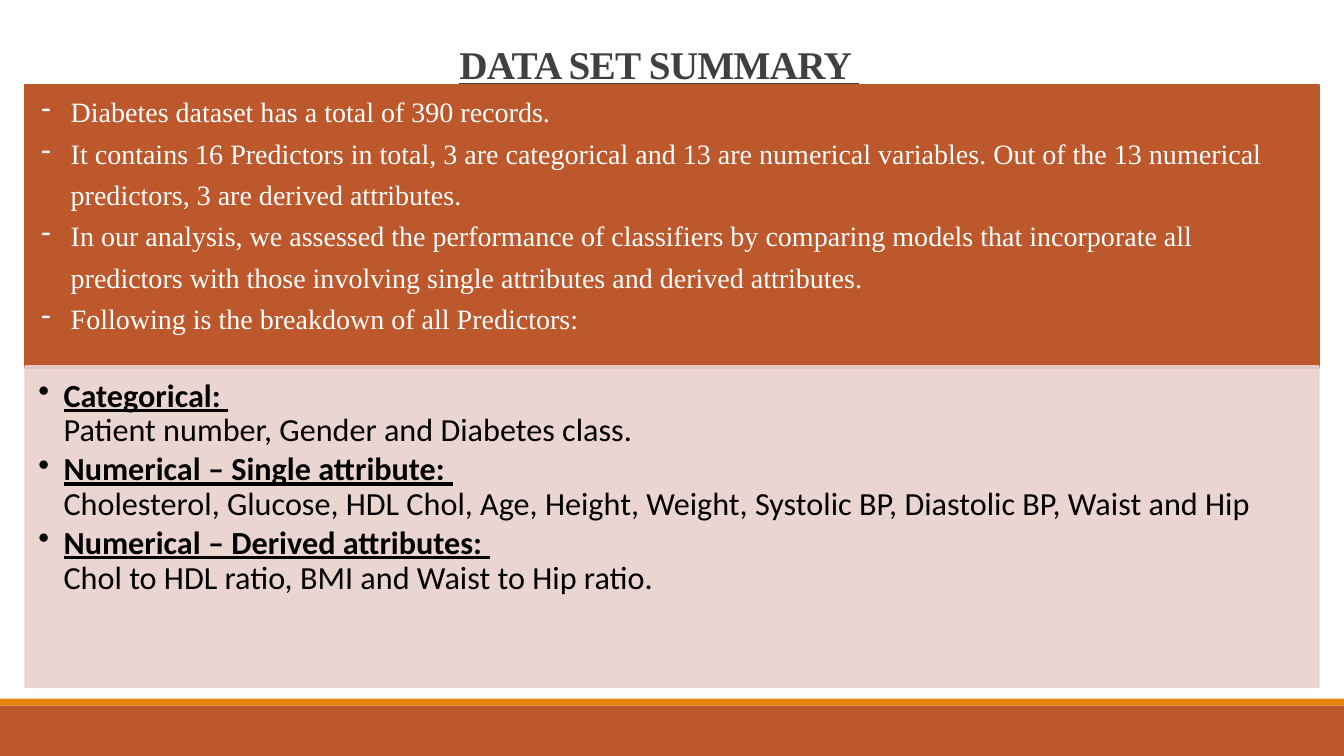
import pptx
import pptx.util
import pptx.dml.color
import pptx.enum.shapes
import pptx.enum.text
import pptx.oxml.ns
from lxml import etree

Pt = pptx.util.Pt

# Content
TITLE = "DATA SET SUMMARY "
# (starts a dashed point, text)
SUMMARY = [
    (True, "Diabetes dataset has a total of 390 records."),
    (True, "It contains 16 Predictors in total, 3 are categorical and 13 are "
           "numerical variables. Out of the 13 numerical"),
    (False, "predictors, 3 are derived attributes."),
    (True, "In our analysis, we assessed the performance of classifiers by "
           "comparing models that incorporate all"),
    (False, "predictors with those involving single attributes and derived attributes."),
    (True, "Following is the breakdown of all Predictors:"),
]
PREDICTORS = [
    ("Categorical: ", "Patient number, Gender and Diabetes class."),
    ("Numerical – Single attribute: ",
     "Cholesterol, Glucose, HDL Chol, Age, Height, Weight, Systolic BP, "
     "Diastolic BP, Waist and Hip"),
    ("Numerical – Derived attributes: ", "Chol to HDL ratio, BMI and Waist to Hip ratio."),
]
COLORS = {"rust": "BD582C", "orange": "E48312", "pink": "E8D1CD",
          "title": "404040", "white": "FFFFFF", "black": "000000"}

# Layout
WIDTH, HEIGHT = 960, 540
FOOTER_HEIGHT, STRIPE_HEIGHT = 36, 5
PANEL_LEFT, PANEL_WIDTH = 18, 924


def color(name):
    return pptx.dml.color.RGBColor.from_string(COLORS[name])


def add_panel(left, top, width, height, fill, outlined=False, alpha=None):
    panel = page.shapes.add_shape(pptx.enum.shapes.MSO_SHAPE.RECTANGLE,
                                  Pt(left), Pt(top), Pt(width), Pt(height))
    panel.shadow.inherit = False
    panel.fill.solid()
    panel.fill.fore_color.rgb = color(fill)
    if outlined:
        panel.line.color.rgb = color(fill)
        panel.line.width = Pt(1.25)
    else:
        panel.line.fill.background()
    if alpha:
        for tint in panel._element.spPr.iter(pptx.oxml.ns.qn("a:srgbClr")):
            etree.SubElement(tint, pptx.oxml.ns.qn("a:alpha"), val=str(alpha * 1000))
    return panel


def prepare_frame(box, anchor, left, top, right, bottom):
    frame = box.text_frame
    frame.word_wrap = True
    frame.vertical_anchor = anchor
    frame.margin_left, frame.margin_top = Pt(left), Pt(top)
    frame.margin_right, frame.margin_bottom = Pt(right), Pt(bottom)
    return frame


def add_para(frame, index, size, font, ink, spacing, after=0, indent=0, bullet=None):
    para = frame.paragraphs[0] if index == 0 else frame.add_paragraph()
    para.alignment = pptx.enum.text.PP_ALIGN.LEFT
    para.line_spacing = spacing
    para.space_after = Pt(after)
    settings = para._p.get_or_add_pPr()
    settings.set("marL", str(Pt(indent)))
    if bullet:
        settings.set("indent", str(-Pt(indent)))
        etree.SubElement(settings, pptx.oxml.ns.qn("a:buChar"), char=bullet)
    para.font.size = Pt(size)
    para.font.name = font
    para.font.color.rgb = color(ink)
    return para


deck = pptx.Presentation()
deck.slide_width, deck.slide_height = Pt(WIDTH), Pt(HEIGHT)
page = deck.slides.add_slide(deck.slide_layouts[6])
anchors = pptx.enum.text.MSO_ANCHOR

# Footer bands
footer_top = HEIGHT - FOOTER_HEIGHT
add_panel(0, footer_top, WIDTH, FOOTER_HEIGHT, "rust")
add_panel(0, footer_top - STRIPE_HEIGHT, WIDTH, STRIPE_HEIGHT, "orange")

# Title
title_box = page.shapes.add_textbox(Pt(150), Pt(18), Pt(642), Pt(48))
frame = prepare_frame(title_box, anchors.BOTTOM, 7.2, 3.6, 7.2, 3.6)
para = add_para(frame, 0, 28, "Times New Roman", "title", 0.85)
para.alignment = pptx.enum.text.PP_ALIGN.CENTER
para.font.bold = para.font.underline = True
span = para.add_run()
span.text = TITLE
span._r.get_or_add_rPr().set("spc", "-50")

# Summary panel
summary_panel = add_panel(PANEL_LEFT, 61, PANEL_WIDTH, 202, "rust", outlined=True)
frame = prepare_frame(summary_panel, anchors.TOP, 11.5, 9.5, 11.5, 6.5)
for index, (is_point, text) in enumerate(SUMMARY):
    para = add_para(frame, index, 20, "Times New Roman", "white", 0.9,
                    after=7.9, indent=21, bullet="-" if is_point else None)
    para.add_run().text = text

# Predictor panel
predictor_panel = add_panel(PANEL_LEFT, 261.5, PANEL_WIDTH, 229.5, "pink",
                            outlined=True, alpha=90)
frame = prepare_frame(predictor_panel, anchors.TOP, 9.4, 9.4, 13, 14.4)
for index, (heading, names) in enumerate(PREDICTORS):
    para = add_para(frame, index, 23, "Calibri", "black", 0.9,
                    after=3, indent=18, bullet="•")
    span = para.add_run()
    span.text = heading
    span.font.bold = span.font.underline = True
    para.add_line_break()
    para.add_run().text = names

deck.save("out.pptx")
